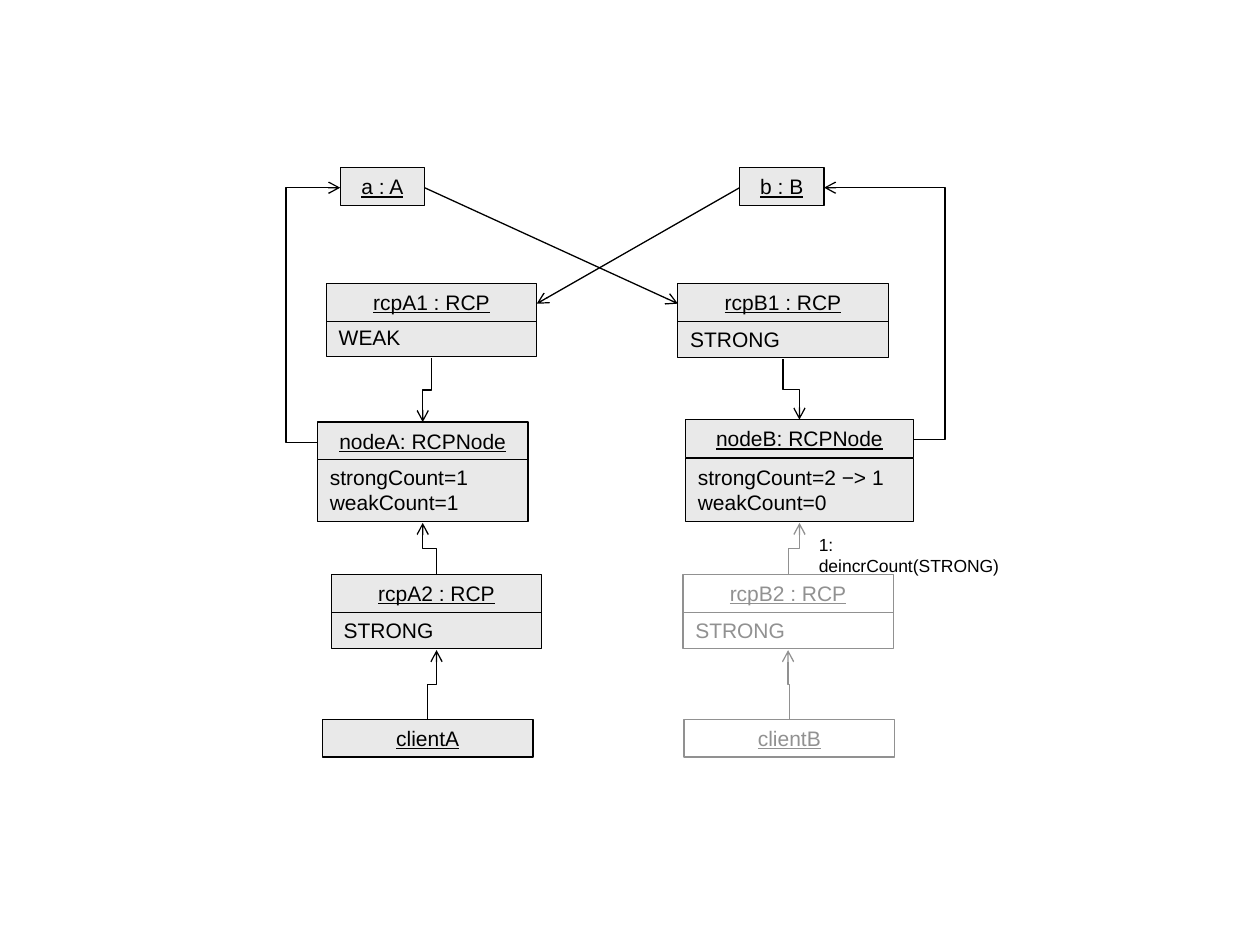
from collections import namedtuple
from lxml import etree
from pptx import Presentation
from pptx.dml.color import RGBColor
from pptx.enum.shapes import MSO_CONNECTOR as CONN, MSO_SHAPE as SHAPE
from pptx.enum.text import MSO_ANCHOR as ANCHOR, PP_ALIGN as ALIGN
from pptx.oxml.ns import qn
from pptx.util import Inches, Pt

COLORS = {"box": "E9E9E9", "white": "FFFFFF", "ink": "000000", "faded": "919191"}
STYLES = {"live": ("box", "ink"), "gone": ("white", "faded"), "open": (None, "faded")}
ROW_H, LINE_H, STUB = 0.3, 0.2, 0.25

Box = namedtuple("Box", "title x y w style body_y lines", defaults=("live", None, ()))
BOXES = {
    "a": Box("a : A", 2.7, 1.33, 0.67),
    "b": Box("b : B", 5.87, 1.33, 0.67),
    "rcpA1": Box("rcpA1 : RCP", 2.59, 2.25, 1.67, "live", 2.53, ["WEAK"]),
    "rcpB1": Box("rcpB1 : RCP", 5.38, 2.25, 1.67, "live", 2.54, ["STRONG"]),
    "nodeA": Box("nodeA: RCPNode", 2.52, 3.35, 1.67, "live", 3.64,
                 ["strongCount=1", "weakCount=1"]),
    "nodeB": Box("nodeB: RCPNode", 5.44, 3.33, 1.81, "live", 3.64,
                 ["strongCount=2 −> 1", "weakCount=0"]),
    "rcpA2": Box("rcpA2 : RCP", 2.63, 4.56, 1.67, "live", 4.85, ["STRONG"]),
    "rcpB2": Box("rcpB2 : RCP", 5.42, 4.56, 1.67, "gone", 4.85, ["STRONG"]),
    "clientA": Box("clientA", 2.56, 5.71, 1.67),
    "clientB": Box("clientB", 5.43, 5.71, 1.67, "open"),
}
ARROWS = [
    ("loop", "nodeA", "left", "a", "left", "ink"),
    ("loop", "nodeB", "right", "b", "right", "ink"),
    ("straight", "b", "left", "rcpA1", "right", "ink"),
    ("straight", "a", "right", "rcpB1", "left", "ink"),
    ("step", "rcpA1", "bottom", "nodeA", "top", "ink"),
    ("step", "rcpB1", "bottom", "nodeB", "top", "ink"),
    ("step", "rcpA2", "top", "nodeA", "bottom", "ink"),
    ("step", "rcpB2", "top", "nodeB", "bottom", "faded"),
    ("step", "clientA", "top", "rcpA2", "bottom", "ink"),
    ("step", "clientB", "top", "rcpB2", "bottom", "faded"),
]
MESSAGE = ("1: deincrCount(STRONG)", 6.4, 4.19, 1.78, 0.27)


def rgb(name):
    return RGBColor.from_string(COLORS[name])


def write(tf, text, size, color, align=ALIGN.LEFT, underline=False):
    tf.text = text
    tf.vertical_anchor = ANCHOR.TOP
    for p in tf.paragraphs:
        p.alignment = align
        for r in p.runs:
            r.font.name, r.font.size = "Arial", Pt(size)
            r.font.color.rgb = rgb(color)
            r.font.underline = underline


def add_row(s, x, y, w, h, style):
    fill, line = STYLES[style]
    sp = s.shapes.add_shape(SHAPE.RECTANGLE, *map(Inches, (x, y, w, h)))
    sp.shadow.inherit = False
    if fill:
        sp.fill.solid()
        sp.fill.fore_color.rgb = rgb(fill)
    else:
        sp.fill.background()
    sp.line.color.rgb = rgb(line)
    sp.line.width = Pt(0.75)
    sp.text_frame.word_wrap = True
    return sp.text_frame


def add_box(s, box):
    ink = STYLES[box.style][1]
    if box.lines:
        tf = add_row(s, box.x, box.body_y, box.w, 0.1 + LINE_H * len(box.lines), box.style)
        write(tf, "\n".join(box.lines), 12, ink)
    tf = add_row(s, box.x, box.y, box.w, ROW_H, box.style)
    write(tf, box.title, 12, ink, ALIGN.CENTER, True)


def port(box, side):
    bottom = box.body_y + 0.1 + LINE_H * len(box.lines) if box.lines else box.y + ROW_H
    return {
        "left": (box.x, box.y + 0.16),
        "right": (box.x + box.w, box.y + 0.16),
        "top": (box.x + box.w / 2, box.y),
        "bottom": (box.x + box.w / 2, bottom + 0.01),
    }[side]


def add_arrow(s, kind, start, start_side, end, end_side, color):
    x1, y1 = port(BOXES[start], start_side)
    x2, y2 = port(BOXES[end], end_side)
    ends = x1, y1, x2, y2
    if kind == "step":
        cx, cy = (x1 + x2) / 2, (y1 + y2) / 2
        dx, dy = (x2 - x1) / 2, (y2 - y1) / 2
        ends = cx - dy, cy + dx, cx + dy, cy - dx
    preset = CONN.STRAIGHT if kind == "straight" else CONN.ELBOW
    c = s.shapes.add_connector(preset, *map(Inches, ends))
    c.line.color.rgb = rgb(color)
    c.line.width = Pt(0.75)
    spPr = c._element.spPr
    if kind == "step":
        spPr.find(qn("a:xfrm")).set("rot", str(90 * 60000))
    if kind == "loop":
        stub = -STUB if start_side == "left" else STUB
        geom = spPr.find(qn("a:prstGeom"))
        guides = geom.find(qn("a:avLst"))
        if guides is None:
            guides = etree.SubElement(geom, qn("a:avLst"))
        etree.SubElement(guides, qn("a:gd"), name="adj1",
                         fmla=f"val {round(100000 * stub / (x2 - x1))}")
    etree.SubElement(spPr.find(qn("a:ln")), qn("a:tailEnd"), type="arrow")
    etree.SubElement(spPr, qn("a:effectLst"))


def main():
    prs = Presentation()
    prs.slide_width, prs.slide_height = Inches(10), Inches(7.5)
    s = prs.slides.add_slide(prs.slide_layouts[6])
    for box in BOXES.values():
        add_box(s, box)
    for arrow in ARROWS:
        add_arrow(s, *arrow)
    text, *place = MESSAGE
    tf = s.shapes.add_textbox(*map(Inches, place)).text_frame
    tf.word_wrap = False
    write(tf, text, 10, "ink")
    prs.save("out.pptx")


if __name__ == "__main__":
    main()
